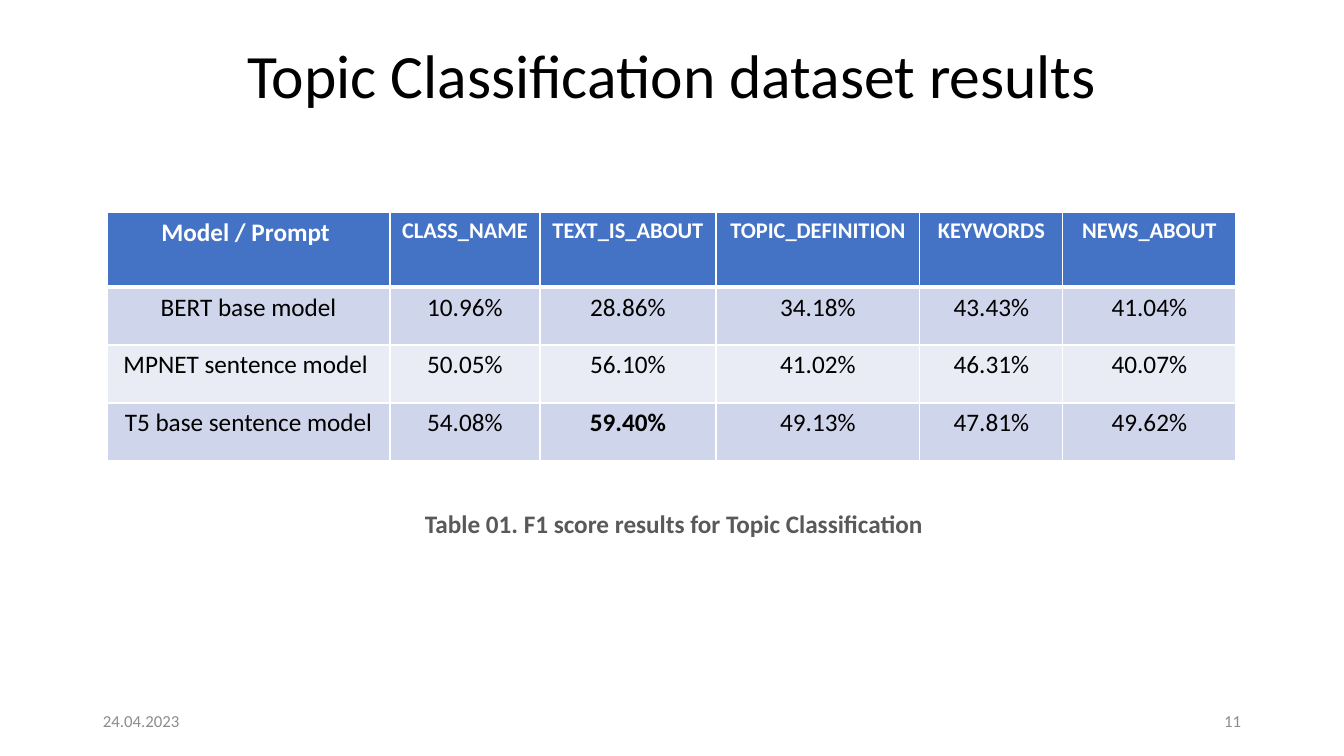
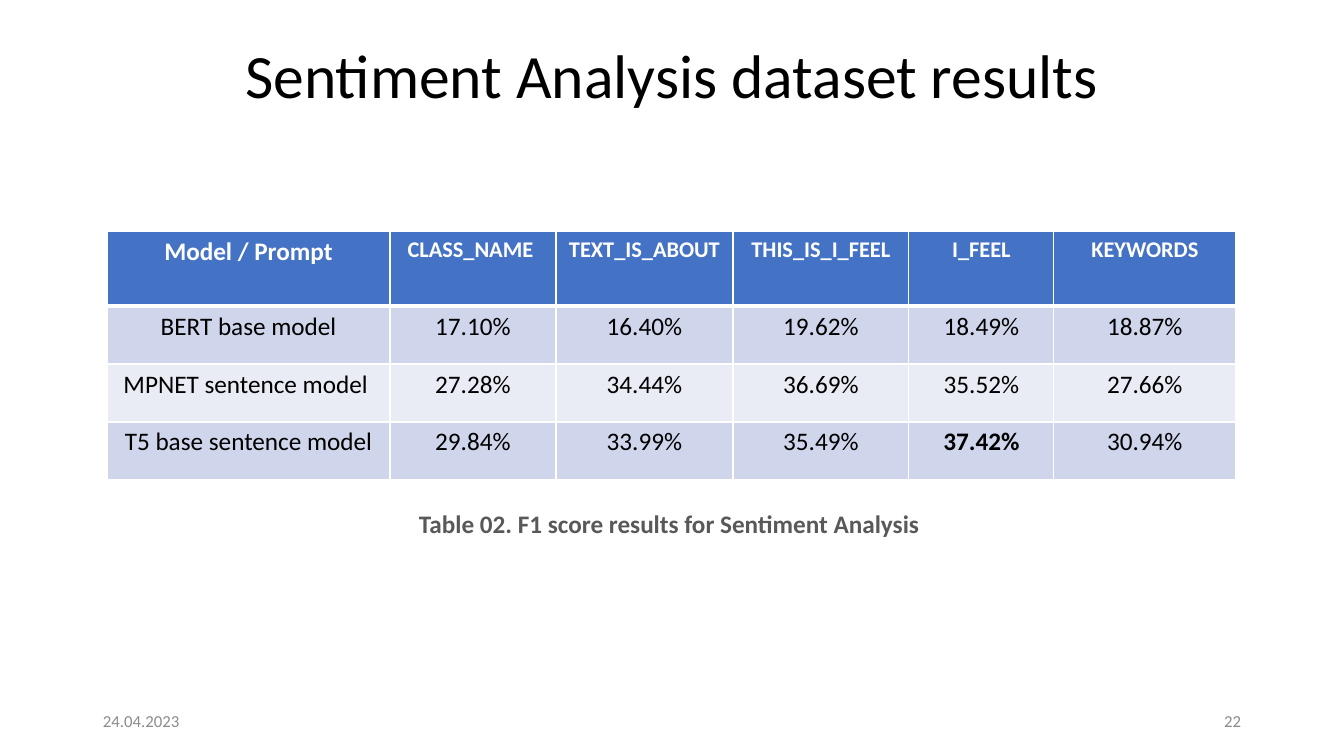
from lxml import etree
from pptx import Presentation
from pptx.dml.color import RGBColor
from pptx.enum.text import MSO_ANCHOR, PP_ALIGN
from pptx.oxml.ns import qn
from pptx.util import Emu, Pt

LEFT, CENTER, RIGHT = PP_ALIGN.LEFT, PP_ALIGN.CENTER, PP_ALIGN.RIGHT
TOP, MIDDLE = MSO_ANCHOR.TOP, MSO_ANCHOR.MIDDLE

# Shared style, lengths in px
EMU_PER_PX = 914400 / 100.8
PAGE_WIDTH, PAGE_HEIGHT = 1344, 756
FONT = "Calibri"
WHITE, BLACK, GREY, CAPTION_GREY = "FFFFFF", "000000", "8C8C8C", "595959"
HEADER_FILL, BAND_FILLS = "4472C4", ("CFD5EA", "E9EBF5")
THIN, THICK = 1, 3
MARGIN, CONTENT_WIDTH = 93, 1158
FOOTER_TOP, FOOTER_WIDTH, FOOTER_HEIGHT = 701, 302, 40
TABLE_LEFT, ROW_HEIGHTS = 107, (75, 58, 58, 58)
CAPTION_TOP, CAPTION_HEIGHT = 503, 40

# Content
DATE = "24.04.2023"
SLIDES = [
    {
        "title": "Topic Classification dataset results",
        "number": "11",
        "table_top": 212,
        "columns": (283, 150, 176, 204, 143, 173),
        "rows": [
            ("Model / Prompt ", "CLASS_NAME ", "TEXT_IS_ABOUT",
             "TOPIC_DEFINITION", "KEYWORDS", "NEWS_ABOUT"),
            ("BERT base model", "10.96%", "28.86%", "34.18%", "43.43%", "41.04%"),
            ("MPNET sentence model ", "50.05%", "56.10%", "41.02%", "46.31%", "40.07%"),
            ("T5 base sentence model", "54.08%", "59.40%", "49.13%", "47.81%", "49.62%"),
        ],
        "best": "59.40%",
        "caption": "Table 01. F1 score results for Topic Classification",
        "caption_span": (415, 522),
    },
    {
        "title": "Sentiment Analysis dataset results",
        "number": "22",
        "table_top": 231,
        "columns": (283, 166, 177, 176, 145, 182),
        "rows": [
            ("Model / Prompt", "CLASS_NAME ", "TEXT_IS_ABOUT",
             "THIS_IS_I_FEEL", "I_FEEL", "KEYWORDS"),
            ("BERT base model", "17.10%", "16.40%", "19.62%", "18.49%", "18.87%"),
            ("MPNET sentence model ", "27.28%", "34.44%", "36.69%", "35.52%", "27.66%"),
            ("T5 base sentence model", "29.84%", "33.99%", "35.49%", "37.42%", "30.94%"),
        ],
        "best": "37.42%",
        "caption": "Table 02. F1 score results for Sentiment Analysis",
        "caption_span": (409, 525),
    },
]


def px(length):
    return Emu(round(length * EMU_PER_PX))


def color(hex_code):
    return RGBColor.from_string(hex_code)


def write(frame, text, size, hex_code, align=LEFT, bold=False):
    frame.text = text
    para = frame.paragraphs[0]
    para.alignment = align
    font = para.runs[0].font
    font.name, font.size, font.bold = FONT, Pt(size), bold
    font.color.rgb = color(hex_code)
    return para


def add_text(page, area, text, size, hex_code, align=LEFT, anchor=MIDDLE,
             bold=False, wrap=True):
    frame = page.shapes.add_textbox(*map(px, area)).text_frame
    frame.word_wrap = wrap
    frame.vertical_anchor = anchor
    return write(frame, text, size, hex_code, align, bold)


def set_borders(cell, widths):
    properties = cell._tc.get_or_add_tcPr()
    for side, width in widths.items():
        line = etree.SubElement(properties, qn(f"a:ln{side}"), w=str(Pt(width)))
        fill = etree.SubElement(line, qn("a:solidFill"))
        etree.SubElement(fill, qn("a:srgbClr"), val=WHITE)


def add_results(page, top, columns, rows, best):
    table = page.shapes.add_table(
        len(rows), len(columns), px(TABLE_LEFT), px(top),
        px(sum(columns)), px(sum(ROW_HEIGHTS))).table
    for column, width in zip(table.columns, columns):
        column.width = px(width)
    for r, (row, height) in enumerate(zip(rows, ROW_HEIGHTS)):
        table.rows[r].height = px(height)
        header = r == 0
        borders = {"L": THIN, "R": THIN,
                   "T": THICK if r == 1 else THIN,
                   "B": THICK if header else THIN}
        for c, text in enumerate(row):
            cell = table.cell(r, c)
            set_borders(cell, borders)
            cell.fill.solid()
            cell.fill.fore_color.rgb = color(
                HEADER_FILL if header else BAND_FILLS[(r - 1) % 2])
            write(cell.text_frame, text, 16 if header and c else 18,
                  WHITE if header else BLACK, CENTER, header or text == best)


def add_page(deck, content):
    page = deck.slides.add_slide(deck.slide_layouts[6])
    # Title
    title = add_text(page, (MARGIN, 40, CONTENT_WIDTH, 146), content["title"],
                     44, BLACK, CENTER, TOP)
    title.line_spacing = 0.9
    # Footer
    number_left = MARGIN + CONTENT_WIDTH - FOOTER_WIDTH
    for left, text, align in ((MARGIN, DATE, LEFT),
                              (number_left, content["number"], RIGHT)):
        add_text(page, (left, FOOTER_TOP, FOOTER_WIDTH, FOOTER_HEIGHT),
                 text, 12, GREY, align)
    # Table and caption
    add_results(page, content["table_top"], content["columns"],
                content["rows"], content["best"])
    left, width = content["caption_span"]
    add_text(page, (left, CAPTION_TOP, width, CAPTION_HEIGHT), content["caption"],
             18, CAPTION_GREY, anchor=TOP, bold=True, wrap=False)


def main():
    deck = Presentation()
    deck.slide_width, deck.slide_height = px(PAGE_WIDTH), px(PAGE_HEIGHT)
    for content in SLIDES:
        add_page(deck, content)
    deck.save("out.pptx")


if __name__ == "__main__":
    main()
